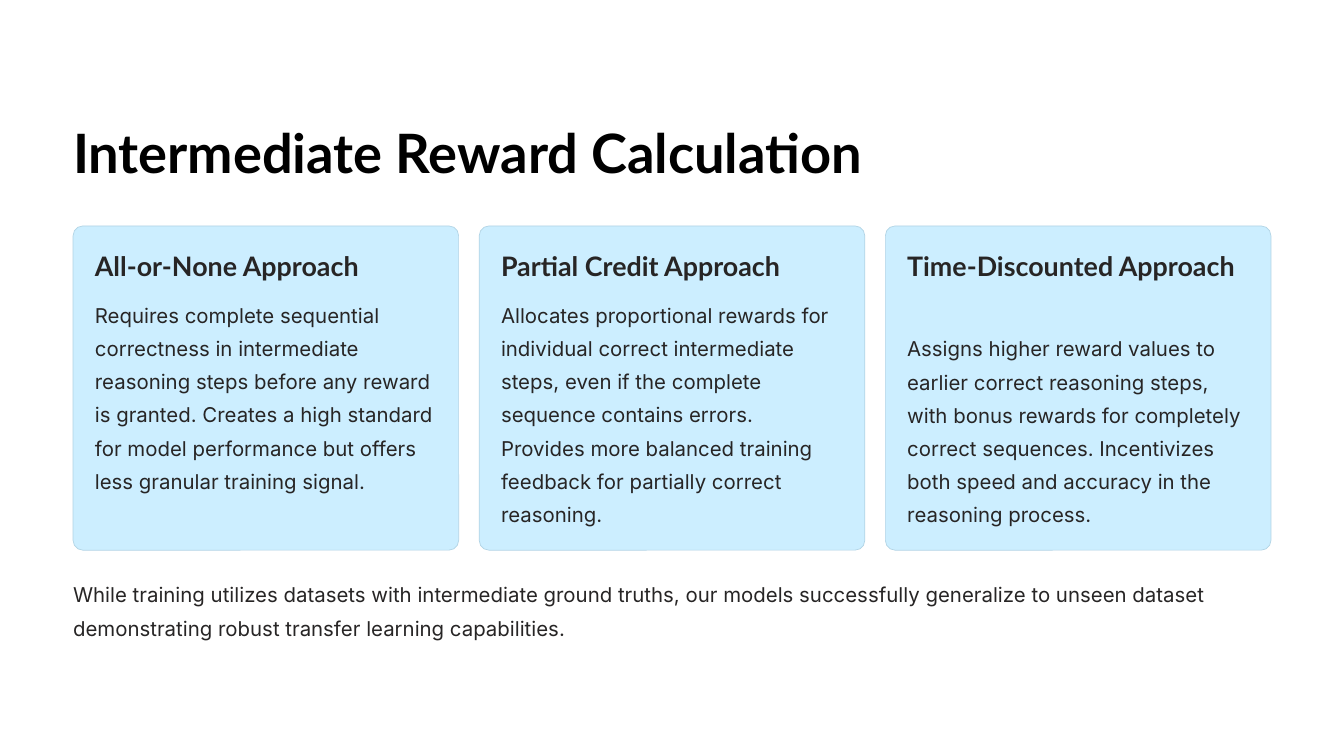
from dataclasses import dataclass

from pptx import Presentation
from pptx.dml.color import RGBColor
from pptx.enum.shapes import MSO_SHAPE
from pptx.enum.text import MSO_ANCHOR, MSO_AUTO_SIZE, PP_ALIGN
from pptx.util import Inches, Pt


@dataclass(frozen=True)
class TextStyle:
    font: str
    size: float
    line: float
    color: RGBColor
    bold: bool


class Theme:
    background = RGBColor(0xFF, 0xFF, 0xFF)
    card_fill = RGBColor(0xCC, 0xEE, 0xFF)
    card_border = RGBColor(0xB2, 0xD4, 0xE5)
    ink = RGBColor(0x27, 0x25, 0x25)
    title = TextStyle("Lato", 46.5, 58.5, RGBColor(0, 0, 0), True)
    heading = TextStyle("Lato", 23, 29, ink, True)
    body = TextStyle("Inter", 17.5, 28.5, ink, False)


def write(box, text, style, wrap=True):
    frame = box.text_frame
    frame.text = text
    frame.word_wrap = wrap
    frame.auto_size = MSO_AUTO_SIZE.NONE
    frame.vertical_anchor = MSO_ANCHOR.TOP
    frame.margin_left = frame.margin_right = 0
    frame.margin_top = frame.margin_bottom = 0
    paragraph = frame.paragraphs[0]
    paragraph.alignment = PP_ALIGN.LEFT
    paragraph.space_before = Pt(0)
    paragraph.line_spacing = Pt(style.line)
    paragraph.font.name = style.font
    paragraph.font.size = Pt(style.size)
    paragraph.font.bold = style.bold
    paragraph.font.color.rgb = style.color


def add_text(left, top, width, height, text, style):
    box = slide.shapes.add_textbox(
        Inches(left), Inches(top), Inches(width), Inches(height))
    write(box, text, style)


# Slide
prs = Presentation()
prs.slide_width, prs.slide_height = Inches(16), Inches(9)
slide = prs.slides.add_slide(prs.slide_layouts[5])
slide.background.fill.solid()
slide.background.fill.fore_color.rgb = Theme.background

margin = 0.87
content_width = 16 - 2 * margin

# Title
title = slide.shapes.title
title.left, title.top = Inches(margin), Inches(1.38)
title.width, title.height = Inches(9.91), Inches(0.81)
write(title, "Intermediate Reward Calculation", Theme.title, wrap=False)

# Approach cards: heading, heading height, description
approaches = [
    ("All-or-None Approach", 0.41,
     "Requires complete sequential correctness in intermediate reasoning "
     "steps before any reward is granted. Creates a high standard for model "
     "performance but offers less granular training signal."),
    ("Partial Credit Approach", 0.41,
     "Allocates proportional rewards for individual correct intermediate "
     "steps, even if the complete sequence contains errors. Provides more "
     "balanced training feedback for partially correct reasoning."),
    ("Time-Discounted Approach", 0.81,
     "Assigns higher reward values to earlier correct reasoning steps, with "
     "bonus rewards for completely correct sequences. Incentivizes both speed "
     "and accuracy in the reasoning process."),
]
card_top, card_width, card_height = 2.69, 4.59, 3.86
padding, heading_gap = 0.26, 0.14
card_pitch = (content_width - card_width) / (len(approaches) - 1)
text_width = card_width - 2 * padding

for i, (heading, heading_height, description) in enumerate(approaches):
    card_left = margin + i * card_pitch
    card = slide.shapes.add_shape(
        MSO_SHAPE.ROUNDED_RECTANGLE, Inches(card_left), Inches(card_top),
        Inches(card_width), Inches(card_height))
    card.adjustments[0] = 0.03
    card.shadow.inherit = False
    card.fill.solid()
    card.fill.fore_color.rgb = Theme.card_fill
    card.line.color.rgb = Theme.card_border
    card.line.width = Pt(0.6)

    text_left = card_left + padding
    heading_top = card_top + padding
    description_top = heading_top + heading_height + heading_gap
    description_height = card_top + card_height - padding - description_top
    add_text(text_left, heading_top, text_width, heading_height,
             heading, Theme.heading)
    add_text(text_left, description_top, text_width, description_height,
             description, Theme.body)

# Closing remark
add_text(margin, 6.83, content_width, 0.79,
         "While training utilizes datasets with intermediate ground truths, "
         "our models successfully generalize to unseen dataset demonstrating "
         "robust transfer learning capabilities.", Theme.body)

prs.save("out.pptx")
